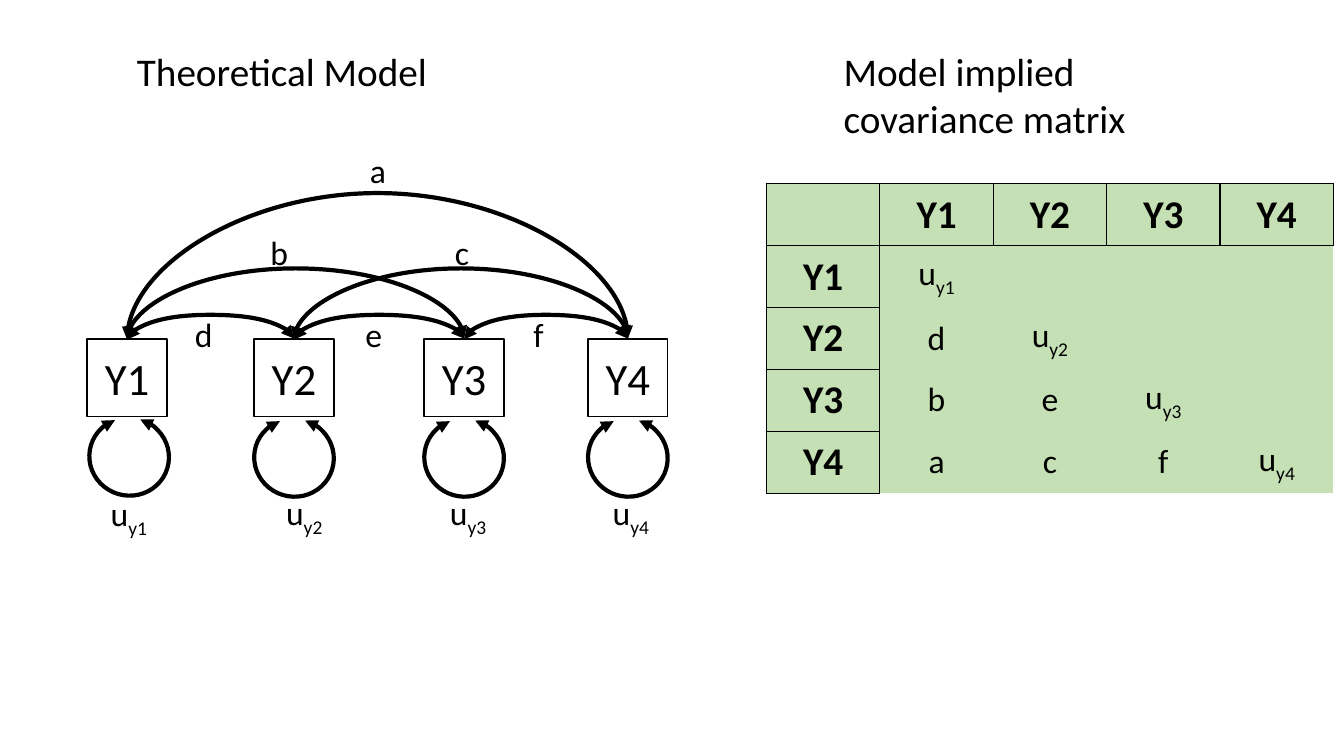
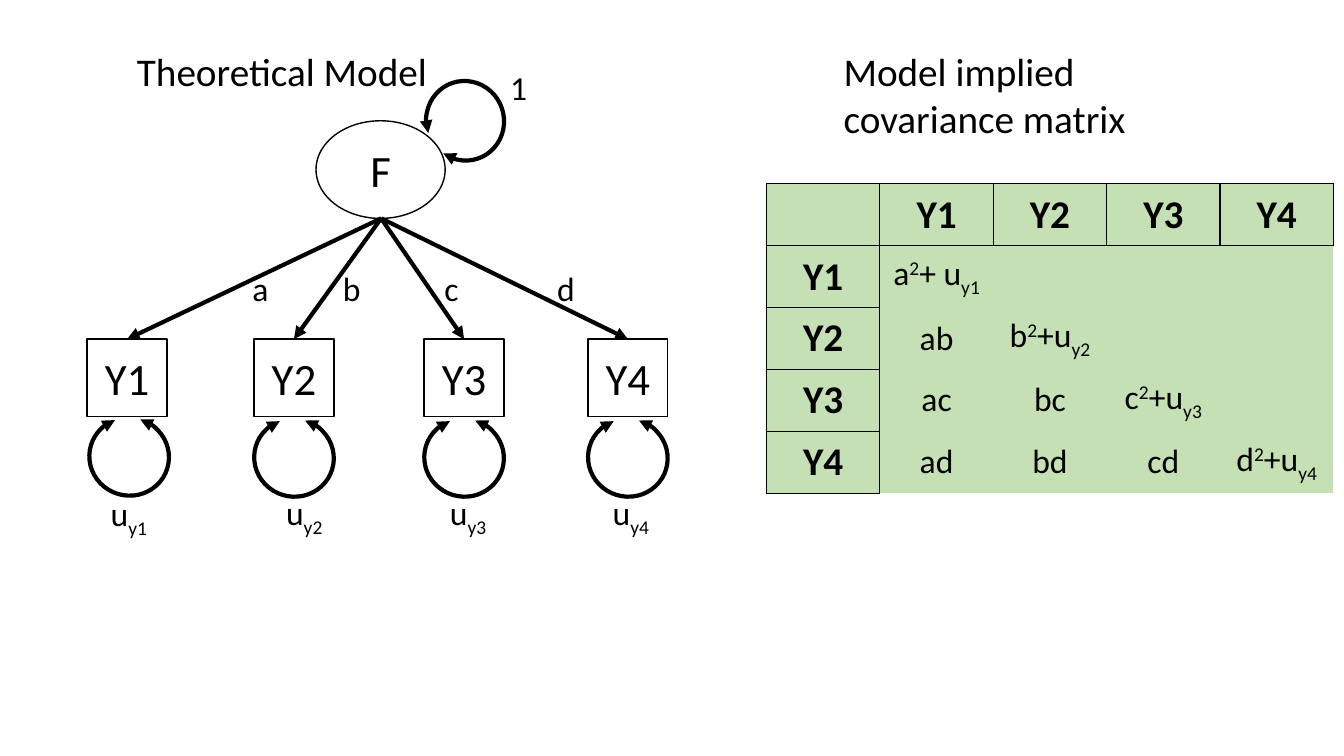
from dataclasses import dataclass
from typing import Any, NamedTuple

from lxml.etree import SubElement
from pptx import Presentation
from pptx.dml.color import RGBColor
from pptx.enum.shapes import MSO_CONNECTOR as Link, MSO_SHAPE as Preset
from pptx.enum.text import MSO_ANCHOR as Anchor, PP_ALIGN as Align
from pptx.oxml.ns import qn
from pptx.util import Pt

BLACK = RGBColor(0x00, 0x00, 0x00)
WHITE = RGBColor(0xFF, 0xFF, 0xFF)
GREEN = RGBColor(0xC5, 0xE0, 0xB4)
FONT = "Calibri"
TITLE_SIZE, NODE_SIZE, LABEL_SIZE = 28, 32, 24
THIN, THICK = 1, 3


def px(length: float) -> int:
    return round(length * 9525)


class Area(NamedTuple):
    left: int
    top: int
    width: int
    height: int

    def emu(self) -> list[int]:
        return [px(length) for length in self]


class Piece(NamedTuple):
    text: str
    baseline: int = 0


class Label(NamedTuple):
    text: str
    center: int
    top: int


class Curve(NamedTuple):
    start: int
    end: int
    rise: int


@dataclass(frozen=True)
class Variable:
    name: str
    left: int
    loop_left: int
    loop_top: int
    residual_left: int
    residual_top: int


Rich = list[Piece]

# Shared layout
NODE_TOP, NODE_WIDTH, NODE_HEIGHT = 323, 76, 74
VARIABLES = [
    Variable("Y1", 83, 85, 398, 96, 465),
    Variable("Y2", 242, 242, 399, 263, 464),
    Variable("Y3", 404, 404, 399, 419, 464),
    Variable("Y4", 560, 560, 399, 574, 464),
]
FACTOR = Area(301, 115, 123, 93)
MATRIX_LEFT, MATRIX_TOP, COLUMN_WIDTH, ROW_HEIGHT = 730, 175, 108, 59

# Content of each model
CURVES = [Curve(0, 1, 24), Curve(0, 2, 69), Curve(0, 3, 142),
          Curve(1, 2, 24), Curve(2, 3, 24), Curve(1, 3, 69)]
COVARIANCE_LABELS = [Label("a", 360, 138), Label("b", 266, 216), Label("c", 440, 216),
                     Label("d", 194, 294), Label("e", 356, 294), Label("f", 513, 294)]
FACTOR_LABELS = [Label("a", 248, 250), Label("b", 335, 250), Label("c", 430, 250),
                 Label("d", 539, 250), Label("1", 494, 59)]


def residual(name: str, prefix: str = "") -> Rich:
    return [Piece(prefix + "u"), Piece(name.lower(), -25)]


def loaded(letter: str, name: str, sign: str = "+") -> Rich:
    return [Piece(letter), Piece("2", 30), *residual(name, sign)]


def plain(*texts: str) -> list[Rich]:
    return [[Piece(text)] for text in texts]


COVARIANCES = [
    [residual("Y1")],
    [*plain("d"), residual("Y2")],
    [*plain("b", "e"), residual("Y3")],
    [*plain("a", "c", "f"), residual("Y4")],
]
FACTOR_COVARIANCES = [
    [loaded("a", "Y1", "+ ")],
    [*plain("ab"), loaded("b", "Y2")],
    [*plain("ac", "bc"), loaded("c", "Y3")],
    [*plain("ad", "bd", "cd"), loaded("d", "Y4")],
]


# Text
def write(frame: Any, pieces: Rich, size: int, align: Align = Align.CENTER,
          bold: bool = False) -> None:
    paragraph = frame.paragraphs[0]
    paragraph.alignment = align
    for piece in pieces:
        run = paragraph.add_run()
        run.text = piece.text
        if piece.baseline:
            run.font._element.set("baseline", str(piece.baseline * 1000))
    font = paragraph.font
    font.name, font.size, font.bold = FONT, Pt(size), bold
    font.color.rgb = BLACK


def add_text(slide: Any, area: Area, pieces: Rich, size: int,
             align: Align = Align.LEFT) -> Any:
    frame = slide.shapes.add_textbox(*area.emu()).text_frame
    frame.word_wrap = True
    write(frame, pieces, size, align)
    return frame


def add_label(slide: Any, label: Label) -> None:
    frame = add_text(slide, Area(label.center - 20, label.top, 40, 48),
                     [Piece(label.text)], LABEL_SIZE, Align.CENTER)
    frame.margin_left = frame.margin_right = 0


# Shapes and arrows
def set_line(shape: Any, width: int, head: bool = False, tail: bool = False) -> None:
    shape.line.color.rgb = BLACK
    shape.line.width = Pt(width)
    for tag, wanted in (("a:headEnd", head), ("a:tailEnd", tail)):
        if wanted:
            SubElement(shape.line._get_or_add_ln(), qn(tag), type="triangle")


def add_node(slide: Any, preset: Preset, area: Area, name: str) -> Any:
    node = slide.shapes.add_shape(preset, *area.emu())
    node.shadow.inherit = False
    node.fill.solid()
    node.fill.fore_color.rgb = WHITE
    set_line(node, THIN)
    node.text_frame.vertical_anchor = Anchor.MIDDLE
    write(node.text_frame, [Piece(name)], NODE_SIZE)
    return node


def add_loop(slide: Any, left: int, top: int, rotation: float = 16.7) -> None:
    loop = slide.shapes.add_shape(Preset.ARC, *Area(left, top, 76, 74).emu())
    loop.adjustments[0], loop.adjustments[1] = 162, 139.33
    loop.rotation = rotation
    loop.shadow.inherit = False
    loop.fill.background()
    set_line(loop, THICK, head=True, tail=True)


def add_path(slide: Any, kind: Link, x1: int, y1: int, x2: int, y2: int,
             head: bool) -> Any:
    path = slide.shapes.add_connector(kind, px(x1), px(y1), px(x2), px(y2))
    set_line(path, THICK, head=head, tail=True)
    SubElement(path._element.spPr, qn("a:effectLst"))
    return path


def add_curve(slide: Any, nodes: list[Any], curve: Curve) -> None:
    x1, x2 = (VARIABLES[i].left + NODE_WIDTH // 2 for i in (curve.start, curve.end))
    path = add_path(slide, Link.CURVE, x1, NODE_TOP, x2, NODE_TOP, head=True)
    path.begin_connect(nodes[curve.start], 0)
    path.end_connect(nodes[curve.end], 0)
    # A one-pixel-wide frame turned upright; the adjustment lifts the bend
    span = x2 - x1
    path.left, path.top = px((x1 + x2 - 1) / 2), px(NODE_TOP - span / 2)
    path.width, path.height = px(1), px(span)
    properties = path._element.spPr
    frame = properties.find(qn("a:xfrm"))
    for key, value in (("rot", "5400000"), ("flipH", "1"), ("flipV", "1")):
        frame.set(key, value)
    geometry = properties.find(qn("a:prstGeom"))
    guides = geometry.find(qn("a:avLst"))
    if guides is None:
        guides = SubElement(geometry, qn("a:avLst"))
    SubElement(guides, qn("a:gd"), name="adj1", fmla=f"val {curve.rise * 100000}")


# Covariance matrix
def set_borders(cell: Any, visible: dict[str, bool]) -> None:
    properties = cell._tc.get_or_add_tcPr()
    for position, (side, shown) in enumerate(visible.items()):
        line = properties.makeelement(qn(f"a:ln{side}"), {"w": str(Pt(THIN))})
        properties.insert(position, line)
        if shown:
            fill = SubElement(line, qn("a:solidFill"))
            SubElement(fill, qn("a:srgbClr"), val=str(BLACK))
        else:
            SubElement(line, qn("a:noFill"))


def add_matrix(slide: Any, covariances: list[list[Rich]]) -> None:
    count = len(VARIABLES) + 1
    area = Area(MATRIX_LEFT, MATRIX_TOP, COLUMN_WIDTH * count, ROW_HEIGHT * count)
    table = slide.shapes.add_table(count, count, *area.emu()).table
    table.first_row = table.horz_banding = False
    for column in table.columns:
        column.width = px(COLUMN_WIDTH)
    for row in table.rows:
        row.height = px(ROW_HEIGHT)
    names = plain(*(variable.name for variable in VARIABLES))
    for r in range(count):
        for c in range(count):
            cell = table.cell(r, c)
            cell.fill.solid()
            cell.fill.fore_color.rgb = GREEN
            cell.vertical_anchor = Anchor.MIDDLE
            header = r == 0 or c == 0
            set_borders(cell, {"L": header or c == 1, "R": header,
                               "T": header or r == 1, "B": header})
            if header and r != c:
                write(cell.text_frame, names[max(r, c) - 1], TITLE_SIZE, bold=True)
            elif 0 < c <= r:
                write(cell.text_frame, covariances[r - 1][c - 1], LABEL_SIZE)


# Parts that both slides share
def add_model(deck: Any, covariances: list[list[Rich]]) -> tuple[Any, list[Any]]:
    slide = deck.slides.add_slide(deck.slide_layouts[6])
    add_text(slide, Area(121, 40, 310, 55), [Piece("Theoretical Model")], TITLE_SIZE)
    add_text(slide, Area(794, 40, 390, 100),
             [Piece("Model implied covariance matrix")], TITLE_SIZE)
    nodes = []
    for variable in VARIABLES:
        area = Area(variable.left, NODE_TOP, NODE_WIDTH, NODE_HEIGHT)
        nodes.append(add_node(slide, Preset.RECTANGLE, area, variable.name))
        add_loop(slide, variable.loop_left, variable.loop_top)
        add_text(slide, Area(variable.residual_left, variable.residual_top, 76, 48),
                 residual(variable.name), LABEL_SIZE)
    add_matrix(slide, covariances)
    return slide, nodes


def add_covariance_slide(deck: Any) -> None:
    slide, nodes = add_model(deck, COVARIANCES)
    for curve in CURVES:
        add_curve(slide, nodes, curve)
    for label in COVARIANCE_LABELS:
        add_label(slide, label)


def add_factor_slide(deck: Any) -> None:
    slide, nodes = add_model(deck, FACTOR_COVARIANCES)
    add_node(slide, Preset.OVAL, FACTOR, "F")
    for variable, node in zip(VARIABLES, nodes):
        path = add_path(slide, Link.STRAIGHT, 363, FACTOR.top + FACTOR.height,
                        variable.left + NODE_WIDTH // 2, NODE_TOP, head=False)
        path.end_connect(node, 0)
    add_loop(slide, 405, 78, 251.7)
    for label in FACTOR_LABELS:
        add_label(slide, label)


def main() -> None:
    deck = Presentation()
    deck.slide_width, deck.slide_height = px(1280), px(720)
    add_covariance_slide(deck)
    add_factor_slide(deck)
    deck.save("out.pptx")


if __name__ == "__main__":
    main()
